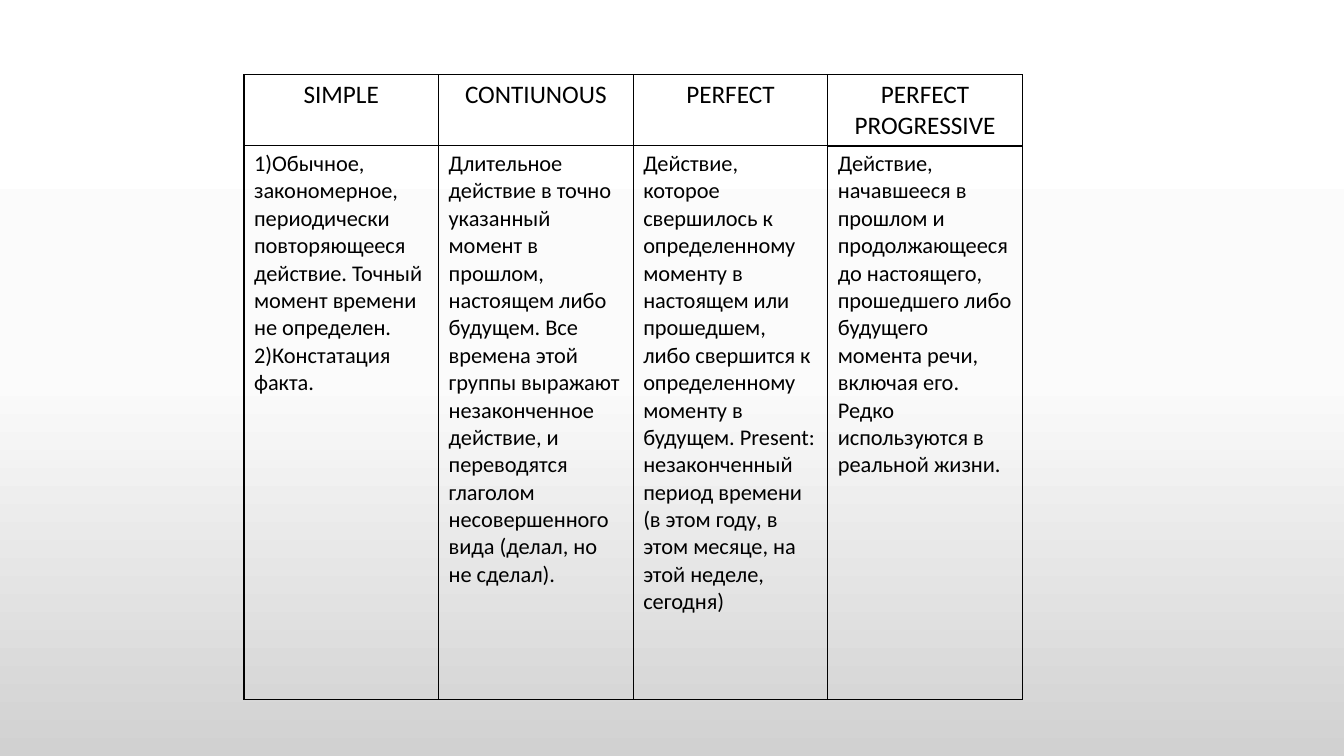
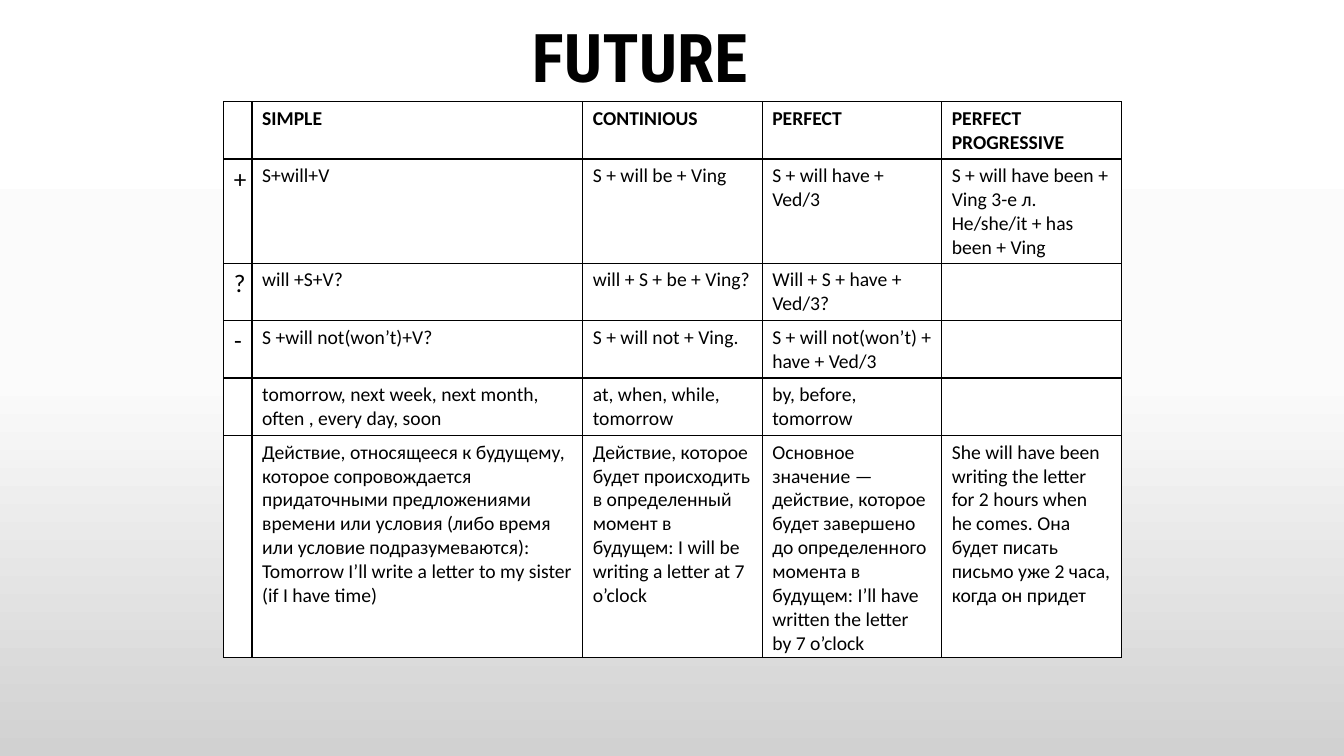
"""Build two slides of English tense tables on a shared gradient ground."""
import copy
from dataclasses import dataclass

import lxml.etree
import pptx
import pptx.dml.color
import pptx.enum.text
import pptx.oxml.ns
import pptx.slide
import pptx.table
import pptx.text.text
import pptx.util

Inches = pptx.util.Inches
Pt = pptx.util.Pt
RGB = pptx.dml.color.RGBColor.from_string
qn = pptx.oxml.ns.qn
MID = pptx.enum.text.PP_ALIGN.CENTER
LEFT = pptx.enum.text.PP_ALIGN.LEFT


@dataclass(frozen=True)
class Theme:
    ink: str = "000000"
    paper: str = "FFFFFF"
    ground: tuple = ((0, "FFFFFF"), (0.5, "FBFBFB"), (1, "D1D1D1"))
    face: str = "Calibri"
    display: str = "Roboto Condensed"
    title: int = 48
    head: int = 18
    body: int = 16
    small: int = 14
    rule: int = 1


@dataclass(frozen=True)
class Style:
    size: int
    bold: bool = False
    align: int = LEFT
    face: str = Theme.face


@dataclass(frozen=True)
class Grid:
    left: float
    top: float
    cols: tuple
    rows: tuple
    fill: str = ""


@dataclass(frozen=True)
class Tense:
    name: str
    use: str


THEME = Theme()
TITLE = Style(THEME.title, True, MID, THEME.display)
HEAD = Style(THEME.head, align=MID)
BODY = Style(THEME.body)
LABEL = Style(THEME.small, True)
NOTE = Style(THEME.small)

TENSES = (
    Tense("SIMPLE", "1)Обычное, закономерное, периодически повторяющееся действие. "
          "Точный момент времени не определен. 2)Констатация факта."),
    Tense("CONTIUNOUS", "Длительное действие в точно указанный момент в прошлом, "
          "настоящем либо будущем. Все времена этой группы выражают незаконченное "
          "действие, и переводятся глаголом несовершенного вида (делал, но не сделал)."),
    Tense("PERFECT", "Действие, которое свершилось к определенному моменту в настоящем "
          "или прошедшем, либо свершится к определенному моменту в будущем. Present: "
          "незаконченный период времени (в этом году, в этом месяце, на этой неделе, "
          "сегодня)"),
    Tense("PERFECT PROGRESSIVE", "Действие, начавшееся в прошлом и продолжающееся до "
          "настоящего, прошедшего либо будущего момента речи, включая его. Редко "
          "используются в реальной жизни."),
)

FUTURE = (
    ("", "SIMPLE", "CONTINIOUS", "PERFECT", "PERFECT PROGRESSIVE"),
    ("+", "S+will+V", "S + will be + Ving", "S + will have + Ved/3",
     "S + will have been + Ving 3-е л. He/she/it + has been + Ving"),
    ("?", "will +S+V?", "will + S + be + Ving?", "Will + S + have + Ved/3?", ""),
    ("-", "S +will not(won’t)+V?", "S + will not + Ving.",
     "S + will not(won’t) + have + Ved/3", ""),
    ("", "tomorrow, next week, next month, often , every day, soon",
     "at, when, while, tomorrow", "by, before, tomorrow", ""),
    ("", "Действие, относящееся к будущему, которое сопровождается придаточными "
     "предложениями времени или условия (либо время или условие подразумеваются): "
     "Tomorrow I’ll write a letter to my sister (if I have time)",
     "Действие, которое будет происходить в определенный момент в будущем: "
     "I will be writing a letter at 7 o’clock",
     "Основное значение — действие, которое будет завершено до определенного "
     "момента в будущем: I’ll have written the letter by 7 o’clock",
     "She will have been writing the letter for 2 hours when he comes. "
     "Она будет писать письмо уже 2 часа, когда он придет"),
)


def write(frame: pptx.text.text.TextFrame, text: str, style: Style) -> None:
    """Fill a text frame with one styled line."""
    line = frame.paragraphs[0]
    line.alignment = style.align
    run = line.add_run()
    run.text = text
    values = {"name": style.face, "size": Pt(style.size), "bold": style.bold}
    for key, value in values.items():
        setattr(run.font, key, value)
    run.font.color.rgb = RGB(THEME.ink)


def edge(cell: pptx.table._Cell) -> None:
    """Rule all four sides of a cell."""
    props = cell._tc.get_or_add_tcPr()
    for side in ("a:lnL", "a:lnR", "a:lnT", "a:lnB"):
        line = lxml.etree.SubElement(props, qn(side), w=str(Pt(THEME.rule)))
        fill = lxml.etree.SubElement(line, qn("a:solidFill"))
        lxml.etree.SubElement(fill, qn("a:srgbClr"), val=THEME.ink)


def draw(slide: pptx.slide.Slide, grid: Grid, texts: tuple, styles: tuple) -> None:
    """Draw a ruled table with a style for each cell."""
    table = slide.shapes.add_table(
        len(grid.rows), len(grid.cols), Inches(grid.left), Inches(grid.top),
        Inches(sum(grid.cols)), Inches(sum(grid.rows))).table
    for key in ("first_row", "horz_banding"):
        setattr(table, key, False)
    for col, width in zip(table.columns, grid.cols):
        col.width = Inches(width)
    for row, height, words, looks in zip(table.rows, grid.rows, texts, styles):
        row.height = Inches(height)
        for cell, text, style in zip(row.cells, words, looks):
            edge(cell)
            if grid.fill:
                cell.fill.solid()
                cell.fill.fore_color.rgb = RGB(grid.fill)
            else:
                cell.fill.background()
            if text:
                write(cell.text_frame, text, style)


def shade(master: pptx.slide.SlideMaster) -> None:
    """Give the master its gradient ground."""
    fill = master.background.fill
    fill.gradient()
    fill.gradient_angle = 270
    stops = master.element.find(".//" + qn("a:gsLst"))
    stops.append(copy.deepcopy(stops[-1]))
    for stop, (place, tint) in zip(fill.gradient_stops, THEME.ground):
        stop.position = place
        stop.color.rgb = RGB(tint)


def chart_uses(deck: pptx.presentation.Presentation) -> None:
    """Build the slide that tells when each tense is used."""
    slide = deck.slides.add_slide(deck.slide_layouts[6])
    width, top, head, body = 1.93, 0.74, 0.7, 5.5
    for index, tense in enumerate(TENSES):
        left = 2.42 + index * width
        draw(slide, Grid(left, top, (width,), (head,)), ((tense.name,),), ((HEAD,),))
        draw(slide, Grid(left, top + head, (width,), (body,)),
             ((tense.use,),), ((BODY,),))


def chart_future(deck: pptx.presentation.Presentation) -> None:
    """Build the slide of future forms."""
    slide = deck.slides.add_slide(deck.slide_layouts[5])
    title = slide.shapes.title
    box = {"left": 4.84, "top": 0.1, "width": 3.01, "height": 0.91}
    for key, value in box.items():
        setattr(title, key, Inches(value))
    title.text_frame.auto_size = pptx.enum.text.MSO_AUTO_SIZE.SHAPE_TO_FIT_TEXT
    write(title.text_frame, "FUTURE", TITLE)
    grid = Grid(2.22, 1.01, (0.28, 3.28) + (1.78,) * 3,
                (0.56, 1.03, 0.57, 0.57, 0.57, 2.2), THEME.paper)
    count = len(grid.cols)
    styles = ((LABEL,) * count,) + ((HEAD,) + (NOTE,) * (count - 1),) * (len(FUTURE) - 1)
    draw(slide, grid, FUTURE, styles)


def main() -> None:
    """Build and save the deck."""
    deck = pptx.Presentation()
    deck.slide_width, deck.slide_height = Inches(13.33), Inches(7.5)
    shade(deck.slide_master)
    chart_uses(deck)
    chart_future(deck)
    deck.save("out.pptx")


main()
